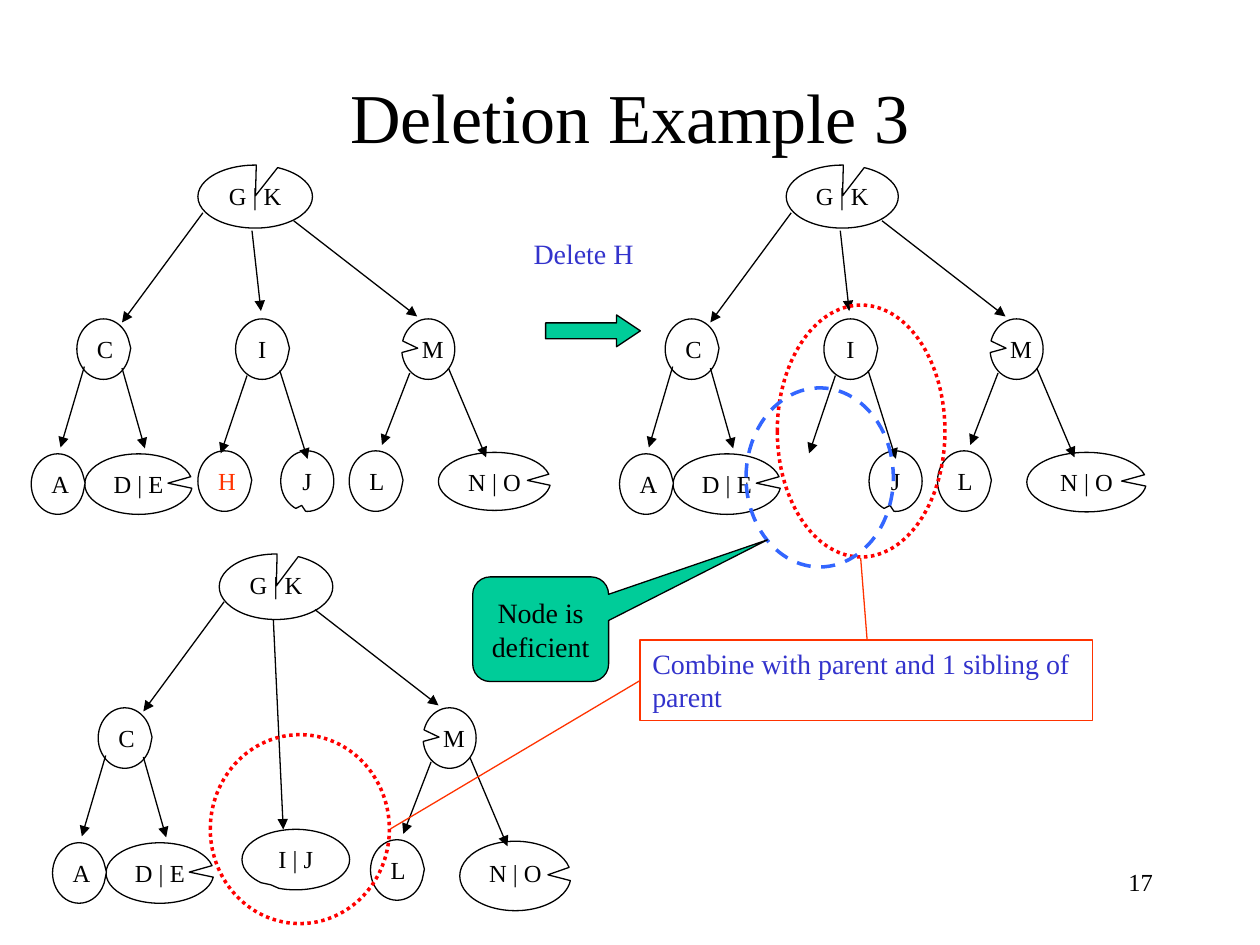
from lxml import etree
from pptx import Presentation, util as u
from pptx.dml.color import RGBColor
from pptx.enum import dml, shapes, text
from pptx.oxml import ns

COLORS = {"ink": "000000", "paper": "FFFFFF", "note": "3333CC", "accent": "FF3300",
          "green": "00CC99", "combine": "FF0000", "deficient": "3366FF"}
SMALL = (1.07, 1.22)
WIDE = (2.17, 1.22)
RIGHT = (0.515, -0.016)

# label: left, top, size, callout tip (in cm, relative to the tree's corner)
NODES = {
    "G | K": (3.99, 3.33, (2.31, 1.27), (0.003, -0.014)),
    "M": (8.1, 6.43, SMALL, (-0.199, -0.016)),
    "L": (7.04, 9.09, SMALL, RIGHT),
    "C": (1.55, 6.43, SMALL, RIGHT),
    "D | E": (1.71, 9.15, WIDE, (0.273, -0.015)),
    "A": (0.63, 9.15, SMALL, RIGHT),
    "H": (3.99, 9.09, SMALL, RIGHT),
    "N | O": (8.84, 9.12, (2.26, 1.17), (0.293, -0.017)),
    "I": (4.75, 6.43, SMALL, RIGHT),
    "J": (5.66, 9.09, SMALL, (-0.104, 0.401)),
    "I | J": (4.45, 8.88, WIDE, (-0.233, 0.416)),
}
OUTER_EDGES = [
    (4.09, 4.29, 2.46, 6.5), (5.92, 4.45, 8.41, 6.38),
    (1.7, 7.39, 1.22, 9.02), (2.46, 7.42, 2.92, 9.04),
    (8.26, 7.52, 7.7, 8.97), (9.04, 7.42, 9.8, 9.22),
]
MIDDLE_EDGES = [(5.08, 4.65, 5.26, 6.27), (4.98, 7.57, 4.45, 9.14), (5.64, 7.47, 6.2, 9.25)]
MERGED_EDGES = [(5.08, 4.65, 5.28, 8.88)]
OUTER_NODES = ["G | K", "M", "L", "C", "D | E", "A", "N | O"]


def rgb(name):
    return RGBColor.from_string(COLORS[name])


def write(box, words, size=14, color="ink", align="CENTER", anchor="TOP", font="Times New Roman"):
    frame = box.text_frame
    frame.word_wrap = True
    frame.vertical_anchor = getattr(text.MSO_ANCHOR, anchor)
    para = frame.paragraphs[0]
    para.alignment = getattr(text.PP_ALIGN, align)
    span = para.add_run()
    span.text = words
    span.font.name = font
    span.font.size = u.Pt(size)
    span.font.color.rgb = rgb(color)


class Painter:
    """Holds the line style and the slide being drawn; all lengths are in cm."""

    def __init__(self, slide, line_width=0.75):
        self.slide = slide
        self.line_width = line_width

    def label(self, words, left, top, width, height, **style):
        box = self.slide.shapes.add_textbox(*map(u.Cm, (left, top, width, height)))
        write(box, words, **style)

    def shape(self, kind, left, top, width, height, fill=None, line="ink",
              line_width=None, dash=None, adjust=()):
        shape = self.slide.shapes.add_shape(
            getattr(shapes.MSO_SHAPE, kind), *map(u.Cm, (left, top, width, height)))
        shape.shadow.inherit = False
        if fill:
            shape.fill.solid()
            shape.fill.fore_color.rgb = rgb(fill)
        else:
            shape.fill.background()
        shape.line.color.rgb = rgb(line)
        shape.line.width = u.Pt(line_width or self.line_width)
        if dash:
            shape.line.dash_style = getattr(dml.MSO_LINE, dash)
        for index, value in enumerate(adjust):
            shape.adjustments[index] = value
        return shape

    def line(self, x1, y1, x2, y2, color="ink", arrow=False):
        line = self.slide.shapes.add_connector(
            shapes.MSO_CONNECTOR.STRAIGHT, *map(u.Cm, (x1, y1, x2, y2)))
        line.line.color.rgb = rgb(color)
        line.line.width = u.Pt(self.line_width)
        if arrow:
            etree.SubElement(line.line._get_or_add_ln(), ns.qn("a:tailEnd"), type="triangle")
        etree.SubElement(line._element.spPr, ns.qn("a:effectLst"))

    def tree(self, labels, edges, dx=0, dy=0, sizes=None):
        """Draw one B-tree shifted by dx, dy; sizes overrides node sizes by label."""
        for name in labels:
            left, top, size, tip = NODES[name]
            size = (sizes or {}).get(name, size)
            node = self.shape("OVAL_CALLOUT", left + dx, top + dy, *size,
                              fill="paper", adjust=tip)
            write(node, name, color="accent" if name == "H" else "ink")
        for x1, y1, x2, y2 in edges:
            self.line(x1 + dx, y1 + dy, x2 + dx, y2 + dy, arrow=True)


def main():
    deck = Presentation()
    deck.slide_width, deck.slide_height = u.Cm(25.4), u.Cm(19.05)
    page = Painter(deck.slides.add_slide(deck.slide_layouts[6]))

    page.label("17", 18.21, 17.35, 5.28, 1.27, align="RIGHT")
    page.label("Deletion Example 3", 1.9, 1.47, 21.6, 1.7, size=40, anchor="MIDDLE")

    full_edges = OUTER_EDGES + MIDDLE_EDGES
    page.tree(OUTER_NODES + ["H", "I", "J"], full_edges)
    page.tree(OUTER_NODES + ["I", "J"], full_edges, dx=11.86,
              sizes={"G | K": (2.26, 1.27), "N | O": (2.41, 1.2)})
    page.label("Delete H", 9.96, 4.65, 3.61, 0.94, size=16, color="note")
    page.shape("RIGHT_ARROW", 11, 6.35, 1.91, 0.64, fill="green", adjust=(0.5, 0.75))
    page.tree(OUTER_NODES + ["I | J"], OUTER_EDGES + MERGED_EDGES, dx=0.43, dy=7.84,
              sizes={"G | K": (2.29, 1.32), "N | O": (2.24, 1.4)})

    combine = page.shape("RECTANGLE", 12.9, 12.9, 9.12, 1.63, line="accent")
    write(combine, "Combine with parent and 1 sibling of parent",
          size=16, color="note", align="LEFT")
    for ring in [(15.67, 6.15, 3.38, 5.08), (4.24, 14.81, 3.61, 3.81)]:
        page.shape("OVAL", *ring, line="combine", line_width=2, dash="ROUND_DOT")
    page.line(17.48, 12.9, 17.35, 11.25, color="accent")
    page.line(12.9, 13.72, 7.87, 16.71, color="accent")

    page.shape("OVAL", 15.04, 7.82, 2.97, 3.61, line="deficient", line_width=2, dash="DASH")
    deficient = page.shape("ROUNDED_RECTANGULAR_CALLOUT", 9.53, 11.63, 2.74, 2.11,
                           fill="green", adjust=(1.668, -0.854, 0.167))
    write(deficient, "Node is deficient", size=16, anchor="MIDDLE")

    deck.save("out.pptx")


if __name__ == "__main__":
    main()
